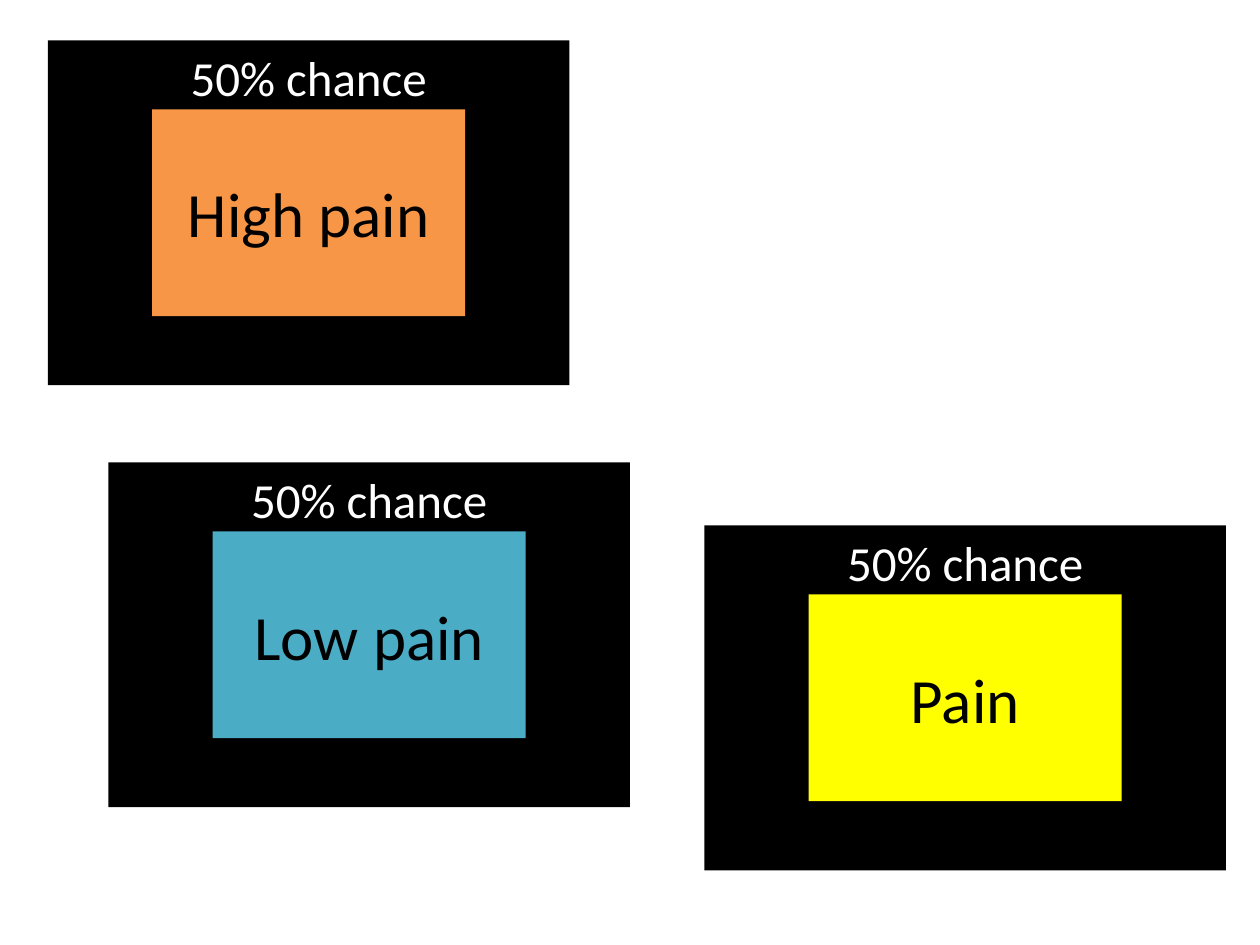
"""Build a slide of three pain cue cards, each with a 50% chance."""
from typing import NamedTuple

from pptx import Presentation
from pptx.dml.color import RGBColor
from pptx.enum.shapes import MSO_SHAPE
from pptx.enum.text import MSO_ANCHOR, PP_ALIGN
from pptx.util import Inches, Pt

WIDE, HIGH = Inches(10), Inches(7.5)
INK = {"black": "000000", "white": "FFFFFF", "orange": "F79646",
       "teal": "4BACC6", "yellow": "FFFF00"}


class Box(NamedTuple):
    """A frame in percent of the slide."""
    left: float
    top: float
    width: float
    height: float

    def inner(self, x: float, y: float, w: float, h: float) -> "Box":
        """Return an inner frame given as shares of this one."""
        return Box(self.left + x * self.width, self.top + y * self.height,
                   w * self.width, h * self.height)

    def emu(self) -> list[int]:
        """Return the frame in slide units."""
        return [round(n * side / 100)
                for n, side in zip(self, (WIDE, HIGH, WIDE, HIGH))]


class Card(NamedTuple):
    """A cue card: its label, cue colour and top left corner in percent."""
    label: str
    hue: str
    left: float
    top: float


CARDS = [
    Card("High pain", "orange", 3.8, 4.27),
    Card("Low pain", "teal", 8.6, 48.93),
    Card("Pain", "yellow", 55.9, 55.6),
]


def paint(hue: str) -> RGBColor:
    """Look up a colour by name."""
    return RGBColor.from_string(INK[hue])


def write(shape, text: str, size: int, hue: str) -> None:
    """Put centred text in a shape."""
    frame = shape.text_frame
    frame.word_wrap = True
    frame.vertical_anchor = MSO_ANCHOR.MIDDLE
    line = frame.paragraphs[0]
    line.text, line.alignment = text, PP_ALIGN.CENTER
    font = line.runs[0].font
    for key, value in {"name": "Calibri", "size": Pt(size)}.items():
        setattr(font, key, value)
    font.color.rgb = paint(hue)


def block(group, box: Box, hue: str):
    """Add a plain filled rectangle."""
    shape = group.shapes.add_shape(MSO_SHAPE.RECTANGLE, *box.emu())
    shape.shadow.inherit = False
    shape.fill.solid()
    shape.fill.fore_color.rgb = paint(hue)
    shape.line.fill.background()
    return shape


def draw(slide, card: Card) -> None:
    """Draw one card as a group."""
    group = slide.shapes.add_group_shape()
    box = Box(card.left, card.top, 41.4, 36.5)
    block(group, box, "black")
    cue = block(group, box.inner(0.2, 0.2, 0.6, 0.6), card.hue)
    write(cue, card.label, 36, "black")
    note = group.shapes.add_textbox(*box.inner(0, 0, 1, 0.21).emu())
    write(note, "50% chance", 28, "white")


def main() -> None:
    """Build and save the slide."""
    deck = Presentation()
    deck.slide_width, deck.slide_height = WIDE, HIGH
    slide = deck.slides.add_slide(deck.slide_layouts.get_by_name("Blank"))
    for card in CARDS:
        draw(slide, card)
    deck.save("out.pptx")


if __name__ == "__main__":
    main()
